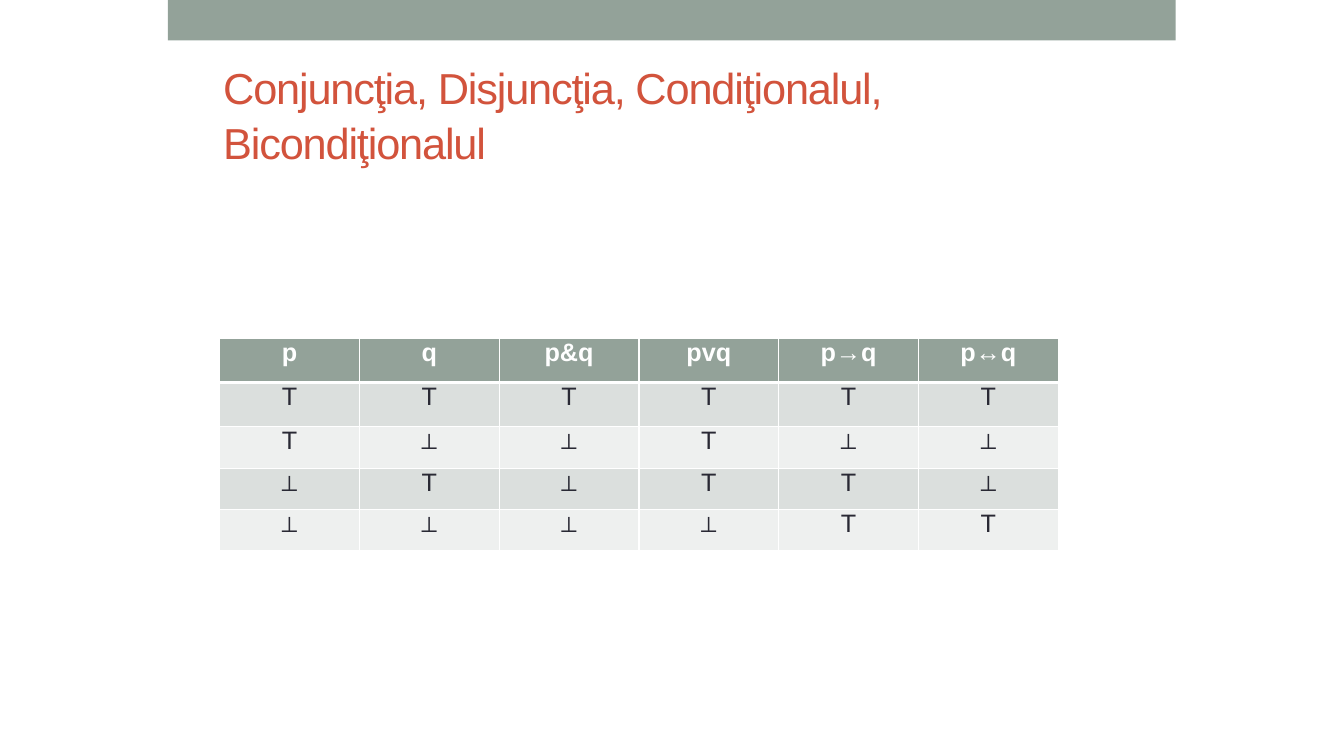
import pptx
import pptx.dml.color
import pptx.enum.shapes
import pptx.enum.text
import pptx.oxml
import pptx.oxml.ns
import pptx.util
from dataclasses import dataclass

PX = 9144


@dataclass(frozen=True)
class Theme:
    sage: str = "93A299"
    brick: str = "D2533C"
    ink: str = "292934"
    white: str = "FFFFFF"
    bands: tuple = ("DBDFDD", "EEF0EF")
    font: str = "Arial"
    title_size: float = 61.9
    cell_size: float = 36
    thin: float = 2
    thick: float = 6


THEME = Theme()


def px(length):
    return pptx.util.Emu(round(length * PX))


def rgb(colour):
    return pptx.dml.color.RGBColor.from_string(colour)


def set_all(target, values):
    for name, value in values.items():
        setattr(target, name, value)


def write(paragraph, words, size, colour, bold=False):
    run = paragraph.add_run()
    run.text = words
    set_all(run.font, {"name": THEME.font, "size": pptx.util.Pt(size), "bold": bold})
    run.font.color.rgb = rgb(colour)
    return run


def add_band(slide, left, top, width, height):
    band = slide.shapes.add_shape(
        pptx.enum.shapes.MSO_SHAPE.RECTANGLE, px(left), px(top), px(width), px(height))
    band.shadow.inherit = False
    band.fill.solid()
    band.fill.fore_color.rgb = rgb(THEME.sage)
    band.line.fill.background()


def add_title(slide, left, top, width, height, words):
    frame = slide.shapes.add_textbox(px(left), px(top), px(width), px(height)).text_frame
    set_all(frame, {
        "word_wrap": True,
        "vertical_anchor": pptx.enum.text.MSO_ANCHOR.MIDDLE,
        "margin_left": px(10), "margin_right": px(10),
        "margin_top": px(10), "margin_bottom": px(10),
    })
    heading = frame.paragraphs[0]
    heading.line_spacing = 1.04
    run = write(heading, words, THEME.title_size, THEME.brick)
    run.font._element.set("spc", "-170")


def add_borders(cell, widths):
    properties = cell._tc.get_or_add_tcPr()
    for position, (side, width) in enumerate(widths.items()):
        border = pptx.oxml.parse_xml(
            f'<a:{side} {pptx.oxml.ns.nsdecls("a")} w="{pptx.util.Pt(width)}">'
            f'<a:solidFill><a:srgbClr val="{THEME.white}"/></a:solidFill></a:{side}>')
        properties.insert(position, border)


def add_truth_table(slide, left, top, width, row_heights, rows):
    column_count = len(rows[0])
    table = slide.shapes.add_table(
        len(rows), column_count, px(left), px(top), px(width), px(sum(row_heights))).table
    for column in table.columns:
        column.width = px(width / column_count)
    for index, (values, height) in enumerate(zip(rows, row_heights)):
        table.rows[index].height = px(height)
        header = index == 0
        fill = THEME.sage if header else THEME.bands[(index - 1) % 2]
        borders = {
            "lnL": THEME.thin, "lnR": THEME.thin,
            "lnT": THEME.thick if index == 1 else THEME.thin,
            "lnB": THEME.thick if header else THEME.thin,
        }
        for cell, value in zip(table.rows[index].cells, values):
            set_all(cell, {"margin_left": px(5), "margin_right": px(5),
                           "margin_top": px(5), "margin_bottom": px(5)})
            cell.fill.solid()
            cell.fill.fore_color.rgb = rgb(fill)
            add_borders(cell, borders)
            paragraph = cell.text_frame.paragraphs[0]
            set_all(paragraph, {"alignment": pptx.enum.text.PP_ALIGN.CENTER,
                                "line_spacing": 0.9})
            write(paragraph, value, THEME.cell_size,
                  THEME.white if header else THEME.ink, header)


def main():
    presentation = pptx.Presentation()
    set_all(presentation, {"slide_width": px(2667), "slide_height": px(1500)})
    slide = presentation.slides.add_slide(presentation.slide_layouts[6])
    add_band(slide, 333, 0, 2000, 80)
    add_title(slide, 433, 117, 1800, 217,
              "Conjuncţia, Disjuncţia, Condiţionalul, Bicondiţionalul")
    truth_rows = [
        ("p", "q", "p&q", "pvq", "p→q", "p↔q"),
        "TTTTTT",
        "T⊥⊥T⊥⊥",
        "⊥T⊥TT⊥",
        "⊥⊥⊥⊥TT",
    ]
    add_truth_table(slide, 436, 671, 1664, (88, 88, 82, 82, 82), truth_rows)
    presentation.save("out.pptx")


if __name__ == "__main__":
    main()
